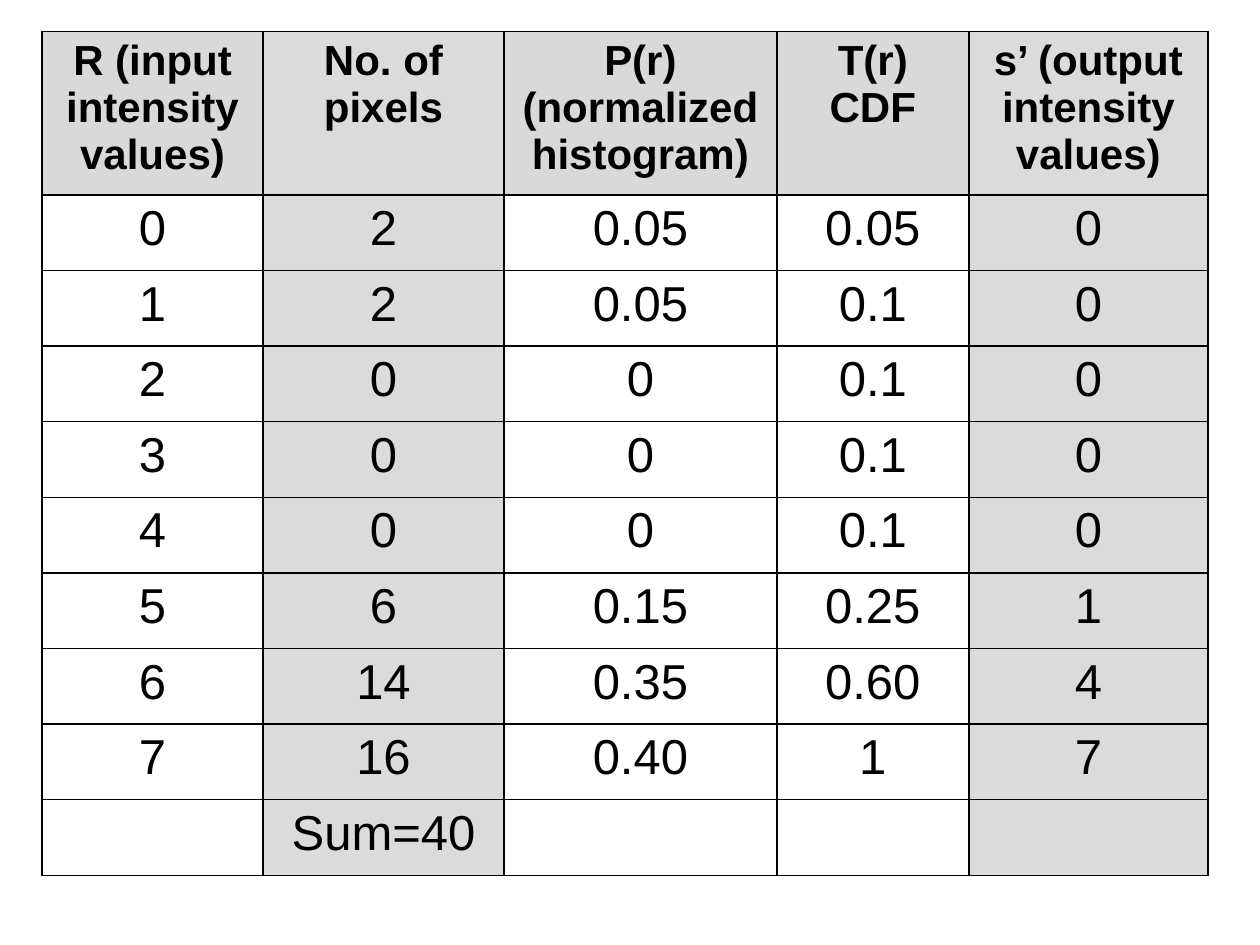
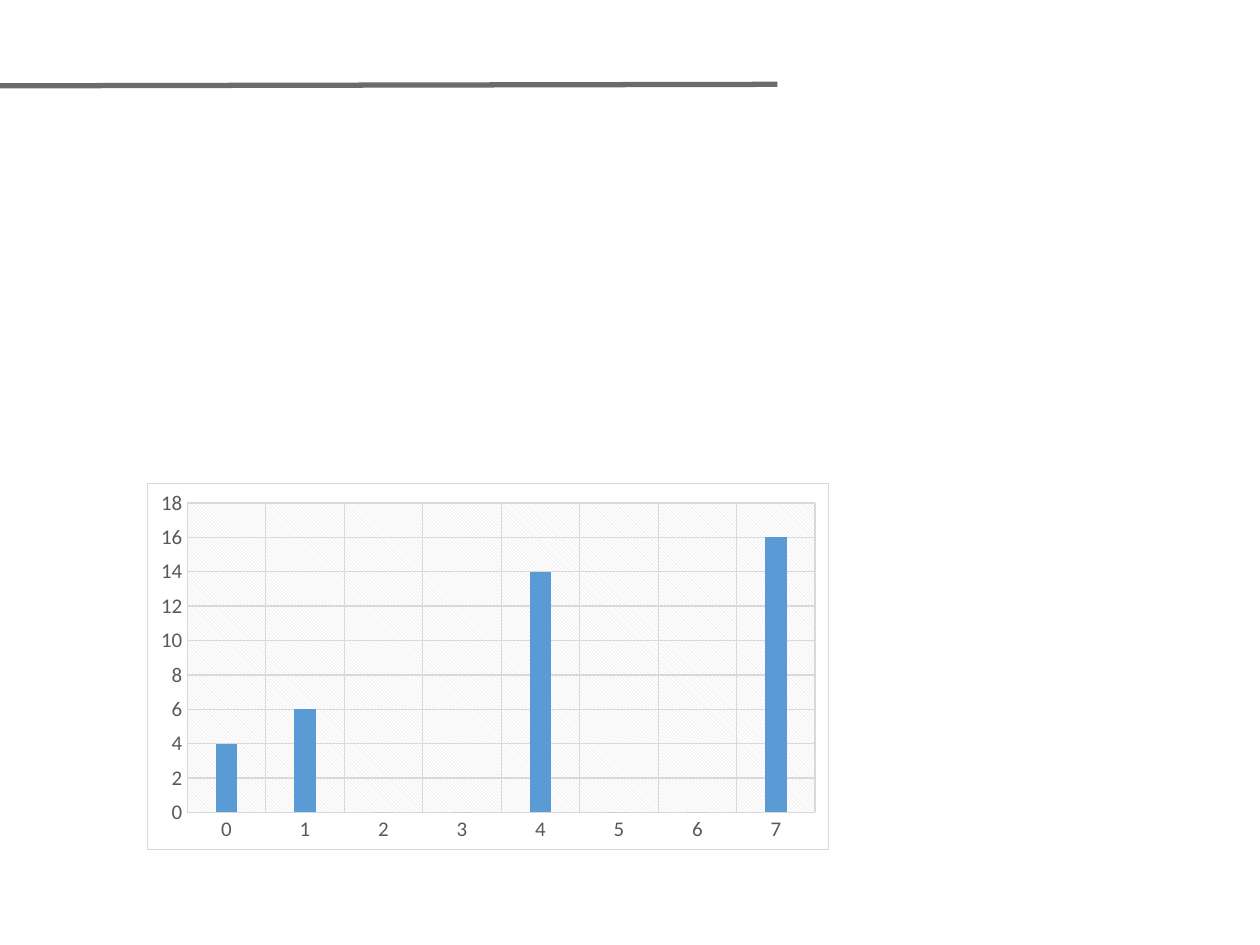
"""Build a histogram equalization table and its resulting histogram."""
from lxml.etree import SubElement
from pptx import Presentation
from pptx.chart.data import CategoryChartData
from pptx.dml.color import RGBColor
from pptx.enum.chart import XL_CHART_TYPE, XL_TICK_MARK
from pptx.enum.shapes import MSO_CONNECTOR, MSO_SHAPE
from pptx.enum.text import PP_ALIGN
from pptx.oxml import parse_xml
from pptx.oxml.ns import nsdecls, qn
from pptx.util import Cm, Pt

HEADERS = [
    "R (input intensity values)",
    "No. of pixels",
    "P(r) (normalized histogram)",
    "T(r)\nCDF",
    "s’ (output intensity values)",
]
ROWS = [
    ("0", "2", "0.05", "0.05", "0"),
    ("1", "2", "0.05", "0.1", "0"),
    ("2", "0", "0", "0.1", "0"),
    ("3", "0", "0", "0.1", "0"),
    ("4", "0", "0", "0.1", "0"),
    ("5", "6", "0.15", "0.25", "1"),
    ("6", "14", "0.35", "0.60", "4"),
    ("7", "16", "0.40", "1", "7"),
    ("", "Sum=40", "", "", ""),
]
OUTPUT_COUNTS = {"0": 4, "1": 6, "2": 0, "3": 0, "4": 14, "5": 0, "6": 0, "7": 16}

SLIDE_WIDTH, SLIDE_HEIGHT = 25.4, 19.05
COLUMN_WIDTHS = [4.45, 4.86, 5.5, 3.87, 4.82]
HEADER_HEIGHT, BODY_HEIGHT = 3.3, 13.72
SHADED_COLUMNS = {1, 4}
BLACK, WHITE, RULE, GRID = "000000", "FFFFFF", "6B6B6B", "D9D9D9"
HEADER_FILL, COLUMN_FILL, BAR, AXIS_TEXT = "D9D9D9", "DBDBDB", "5B9BD5", "595959"
HEADER_FONT = {"name": "Arial", "size": Pt(24), "bold": True}
BODY_FONT = {"name": "Arial", "size": Pt(28), "bold": False}
AXIS_FONT = {"name": "Calibri", "size": Pt(12), "bold": False}


def color(value):
    """Turn a hex string into a colour."""
    return RGBColor.from_string(value)


def format_font(font, values, font_color):
    """Apply a dict of format values and a colour to a font."""
    for name, value in values.items():
        setattr(font, name, value)
    font.color.rgb = color(font_color)


def format_line(line, line_color, width):
    """Give a line its colour and width in points."""
    line.color.rgb = color(line_color)
    line.width = Pt(width)


def format_fill(fill, fill_color):
    """Give a fill a solid colour, or none."""
    if fill_color:
        fill.solid()
        fill.fore_color.rgb = color(fill_color)
    else:
        fill.background()


def add_borders(cell):
    """Draw thin black borders on all sides of a cell."""
    properties = cell._tc.get_or_add_tcPr()
    for side in ("lnL", "lnR", "lnT", "lnB"):
        border = SubElement(properties, qn(f"a:{side}"), w=str(Pt(1)))
        fill = SubElement(border, qn("a:solidFill"))
        SubElement(fill, qn("a:srgbClr"), val=BLACK)


def fill_cell(cell, text, font_values, fill_color):
    """Write centred text into a bordered cell."""
    add_borders(cell)
    format_fill(cell.fill, fill_color)
    cell.text = text
    for paragraph in cell.text_frame.paragraphs:
        paragraph.alignment = PP_ALIGN.CENTER
        format_font(paragraph.font, font_values, BLACK)
        for run in paragraph.runs:
            format_font(run.font, font_values, BLACK)


def add_white_header(slide):
    """Clear the band behind the table with a white rectangle."""
    header = slide.shapes.add_shape(
        MSO_SHAPE.RECTANGLE, Cm(0), Cm(0), Cm(SLIDE_WIDTH), Cm(3.6)
    )
    header.shadow.inherit = False
    format_fill(header.fill, WHITE)
    format_line(header.line, WHITE, 1)


def add_equalization_table(slide):
    """Add the table of intensity values."""
    table = slide.shapes.add_table(
        len(ROWS) + 1,
        len(HEADERS),
        Cm(0.85),
        Cm(0.63),
        Cm(sum(COLUMN_WIDTHS)),
        Cm(HEADER_HEIGHT + BODY_HEIGHT),
    ).table
    table.first_row = table.horz_banding = False
    for column, width in zip(table.columns, COLUMN_WIDTHS):
        column.width = Cm(width)
    for row_index, texts in enumerate([HEADERS, *ROWS]):
        is_header = row_index == 0
        table.rows[row_index].height = Cm(HEADER_HEIGHT if is_header else BODY_HEIGHT / len(ROWS))
        for column_index, text in enumerate(texts):
            plain_fill = HEADER_FILL if is_header else None
            fill_color = COLUMN_FILL if column_index in SHADED_COLUMNS else plain_fill
            font_values = HEADER_FONT if is_header else BODY_FONT
            fill_cell(table.cell(row_index, column_index), text, font_values, fill_color)


def move_rule_to_master(slide, master):
    """Draw the grey top rule and place it on the master shared by all slides."""
    rule = slide.shapes.add_connector(
        MSO_CONNECTOR.STRAIGHT, Cm(-0.05), Cm(1.73), Cm(15.67), Cm(1.7)
    )
    format_line(rule.line, RULE, 3)
    SubElement(rule._element.spPr, qn("a:effectLst"))
    master.shapes._spTree.append(rule._element)


def add_chart_backgrounds(chart):
    """Frame the chart and hatch its plot area."""
    frame = parse_xml(
        f'<c:spPr {nsdecls("c", "a")}>'
        f'<a:solidFill><a:srgbClr val="{WHITE}"/></a:solidFill>'
        f'<a:ln w="{Pt(0.75)}"><a:solidFill><a:srgbClr val="{GRID}"/></a:solidFill></a:ln>'
        "</c:spPr>"
    )
    hatching = parse_xml(
        f'<c:spPr {nsdecls("c", "a")}><a:pattFill prst="ltDnDiag">'
        f'<a:fgClr><a:srgbClr val="{GRID}"/></a:fgClr>'
        f'<a:bgClr><a:srgbClr val="{WHITE}"/></a:bgClr>'
        "</a:pattFill><a:ln><a:noFill/></a:ln></c:spPr>"
    )
    chart_element = chart.element.find(qn("c:chart"))
    chart_element.addnext(frame)
    chart_element.find(qn("c:plotArea")).append(hatching)


def add_histogram(slide):
    """Add the column chart of output intensities."""
    data = CategoryChartData()
    data.categories = list(OUTPUT_COUNTS)
    data.add_series("Series 1", list(OUTPUT_COUNTS.values()))
    chart = slide.shapes.add_chart(
        XL_CHART_TYPE.COLUMN_CLUSTERED, Cm(2.96), Cm(9.73), Cm(13.76), Cm(7.41), data
    ).chart
    chart.has_title = chart.has_legend = False
    format_font(chart.font, {"name": "Calibri", "size": Pt(10)}, BLACK)
    plot = chart.plots[0]
    plot.gap_width, plot.overlap, plot.vary_by_categories = 267, -43, False
    format_fill(plot.series[0].format.fill, BAR)
    for axis in (chart.category_axis, chart.value_axis):
        axis.has_major_gridlines = True
        axis.major_tick_mark = axis.minor_tick_mark = XL_TICK_MARK.NONE
        format_line(axis.major_gridlines.format.line, GRID, 0.75)
        format_font(axis.tick_labels.font, AXIS_FONT, AXIS_TEXT)
    format_line(chart.category_axis.format.line, GRID, 0.75)
    value_axis = chart.value_axis
    value_axis.format.line.fill.background()
    value_axis.minimum_scale, value_axis.maximum_scale, value_axis.major_unit = 0, 18, 2
    add_chart_backgrounds(chart)


def main():
    """Build and save both slides."""
    presentation = Presentation()
    presentation.slide_width, presentation.slide_height = Cm(SLIDE_WIDTH), Cm(SLIDE_HEIGHT)
    blank_layout = presentation.slide_layouts[6]
    table_slide = presentation.slides.add_slide(blank_layout)
    move_rule_to_master(table_slide, presentation.slide_master)
    add_white_header(table_slide)
    add_equalization_table(table_slide)
    add_histogram(presentation.slides.add_slide(blank_layout))
    presentation.save("out.pptx")


if __name__ == "__main__":
    main()
